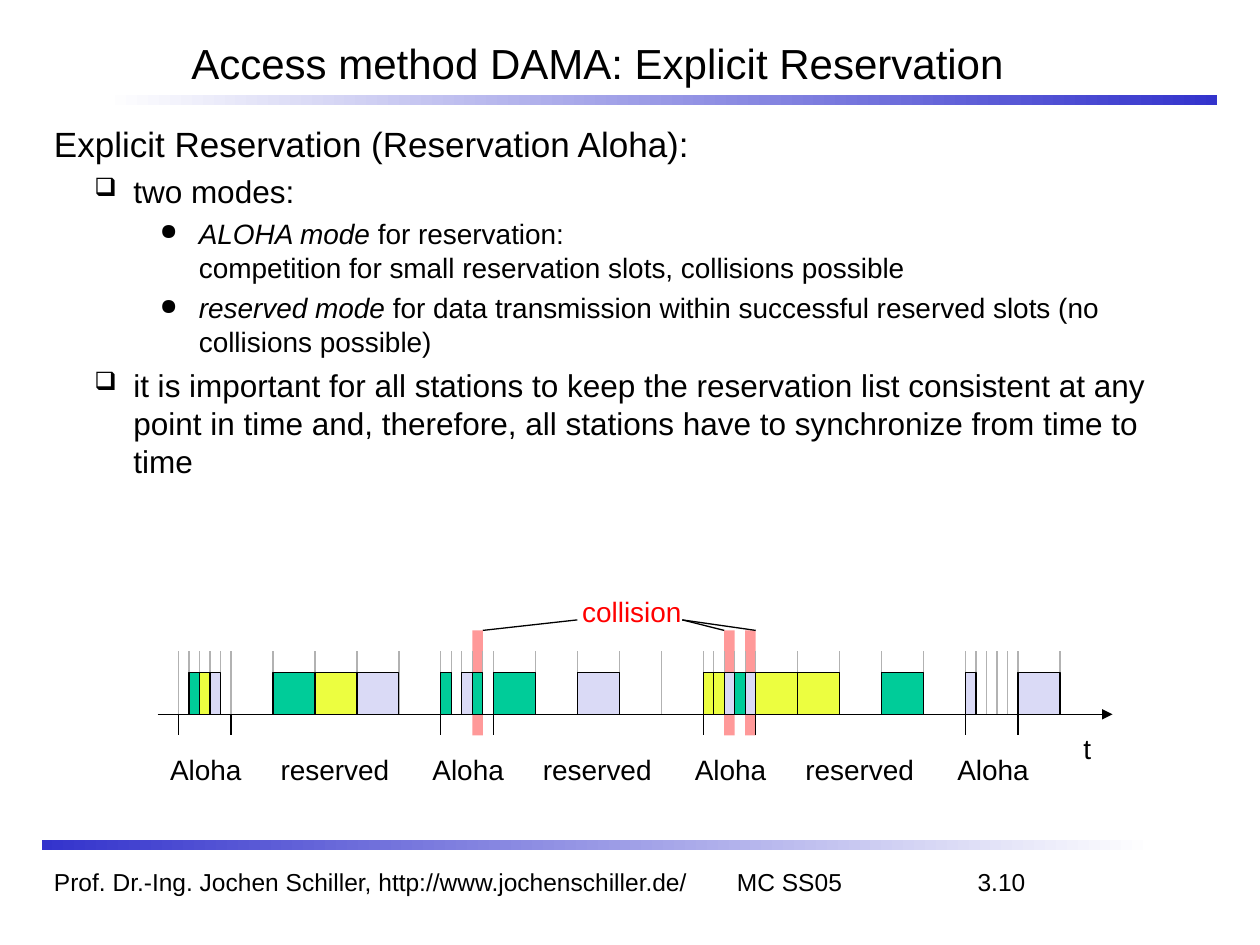
from lxml import etree
from pptx import Presentation
from pptx.dml.color import RGBColor
from pptx.enum.shapes import MSO_CONNECTOR, MSO_SHAPE
from pptx.enum.text import MSO_ANCHOR, MSO_AUTO_SIZE, PP_ALIGN
from pptx.oxml.ns import qn
from pptx.util import Inches, Pt

COLORS = {
    "black": "000000", "white": "FFFFFF", "blue": "3333CC", "red": "FF0000",
    "gray": "B2B2B2", "pink": "FF9999",
    "G": "00CC99", "Y": "ECFE40", "V": "DADAF6",
}

# One letter per slot and station, a dot for an empty slot.
CYCLES = [
    (".GYV.", ".GYV."),
    ("G.VG.", "G.V.."),
    ("YYVGV", "YY.G."),
    ("V....", "V"),
]
COLLISIONS = [(1, 3), (2, 2), (2, 4)]  # cycle, Aloha slot
RESERVED_SLOT = 4  # width in Aloha slots
CYCLE_LENGTH = 25

BODY = [
    (0, [("Explicit Reservation (Reservation Aloha):", False)]),
    (1, [("two modes:", False)]),
    (2, [("ALOHA mode", True),
         (" for reservation:\ncompetition for small reservation slots, collisions possible", False)]),
    (2, [("reserved mode", True),
         (" for data transmission within successful reserved slots (no collisions possible)", False)]),
    (1, [("it is important for all stations to keep the reservation list consistent at any "
          "point in time and, therefore, all stations have to synchronize from time to time", False)]),
]
LEVELS = [
    {"size": 20, "margin": 0.1, "indent": -0.1, "before": 5, "bullet": None},
    {"size": 18, "margin": 0.63, "indent": -0.31, "before": 4.5, "bullet": "❑"},
    {"size": 16, "margin": 1.15, "indent": -0.31, "before": 4, "bullet": "●"},
]


def rgb(color):
    return RGBColor.from_string(COLORS[color])


def add_child(parent, tag, **attributes):
    child = etree.SubElement(parent, qn(tag))
    for key, value in attributes.items():
        child.set(key, value)
    return child


def add_frame(slide, left, top, width, height, anchor=MSO_ANCHOR.TOP, wrap=True):
    frame = slide.shapes.add_textbox(left, top, width, height).text_frame
    frame.word_wrap = wrap
    frame.auto_size = MSO_AUTO_SIZE.NONE if wrap else MSO_AUTO_SIZE.SHAPE_TO_FIT_TEXT
    frame.vertical_anchor = anchor
    return frame


def write(paragraph, text, size=16, color="black", italic=False, align=PP_ALIGN.LEFT):
    paragraph.alignment = align
    for number, line in enumerate(text.split("\n")):
        if number:
            paragraph.add_line_break()
        run = paragraph.add_run()
        run.text = line
        run.font.name = "Arial"
        run.font.size = Pt(size)
        run.font.italic = italic
        run.font.color.rgb = rgb(color)


def add_label(slide, text, center, top, width, color="black"):
    frame = add_frame(slide, center - width // 2, top, width, Inches(0.37),
                      anchor=MSO_ANCHOR.MIDDLE, wrap=False)
    write(frame.paragraphs[0], text, color=color, align=PP_ALIGN.CENTER)


def add_box(slide, left, top, width, height, fill=None, line=None):
    box = slide.shapes.add_shape(MSO_SHAPE.RECTANGLE, left, top, width, height)
    box.shadow.inherit = False
    if fill:
        box.fill.solid()
        box.fill.fore_color.rgb = rgb(fill)
    if line:
        box.line.color.rgb = rgb(line)
        box.line.width = Pt(0.75)
    else:
        box.line.fill.background()
    return box


def add_line(slide, x1, y1, x2, y2, color="black", arrow=False):
    line = slide.shapes.add_connector(MSO_CONNECTOR.STRAIGHT, x1, y1, x2, y2)
    line.line.color.rgb = rgb(color)
    line.line.width = Pt(0.75)
    if arrow:
        add_child(line.line._get_or_add_ln(), "a:tailEnd", type="triangle")
    add_child(line._element.spPr, "a:effectLst")


def add_gradient_bar(slide, left, top, width, height, start, end):
    bar = add_box(slide, left, top, width, height)
    bar.fill.gradient()
    bar.fill.gradient_angle = 0
    for stop, color in zip(bar.fill.gradient_stops, (start, end)):
        stop.color.rgb = rgb(color)


def add_title(slide, left, top, width, height):
    frame = add_frame(slide, left, top, width, height, anchor=MSO_ANCHOR.BOTTOM)
    write(frame.paragraphs[0], "Access method DAMA: Explicit Reservation", size=24)


def add_footer(slide, left, top, width, height):
    paragraph = add_frame(slide, left, top, width, height).paragraphs[0]
    tabs = add_child(paragraph._p.get_or_add_pPr(), "a:tabLst")
    for position, side in ((5.42, "l"), (7.71, "r")):
        add_child(tabs, "a:tab", pos=str(Inches(position)), algn=side)
    write(paragraph, "Prof. Dr.-Ing. Jochen Schiller, http://www.jochenschiller.de/\tMC SS05\t3.10",
          size=14)


def add_body(slide, left, top, width, height):
    frame = add_frame(slide, left, top, width, height)
    for number, (level, parts) in enumerate(BODY):
        style = LEVELS[level]
        paragraph = frame.add_paragraph() if number else frame.paragraphs[0]
        paragraph.level = level
        properties = paragraph._p.get_or_add_pPr()
        properties.set("marL", str(Inches(style["margin"])))
        properties.set("indent", str(Inches(style["indent"])))
        if style["bullet"]:
            add_child(add_child(properties, "a:buClr"), "a:srgbClr", val=COLORS["black"])
            add_child(properties, "a:buSzPct", val="80000")
            add_child(properties, "a:buChar", char=style["bullet"])
        paragraph.space_before = Pt(style["before"] if number else 0)
        for text, italic in parts:
            write(paragraph, text, size=style["size"], italic=italic)


def add_timeline(slide, left, top, width, height):
    """Draw the slots on a square grid whose unit is one Aloha slot."""
    unit = width / 91

    def x(units):
        return round(left + units * unit)

    def y(units):
        return round(top + units * unit)

    band_top, mark_top, slot_top, axis, tick_end, label_top = map(y, (4, 6, 8, 12, 14, 15))
    starts = [2 + CYCLE_LENGTH * number for number in range(len(CYCLES))]

    slots, marks = [], []
    for start, (aloha, reserved) in zip(starts, CYCLES):
        position = start
        sizes = [1] * len(aloha) + [RESERVED_SLOT] * len(reserved)
        for station, size in zip(aloha + reserved, sizes):
            marks.append(position)
            slots.append((position, size, station))
            position += size
    marks.append(position)

    bands = [starts[cycle] + slot for cycle, slot in COLLISIONS]
    for band in bands:
        add_box(slide, x(band), band_top, x(band + 1) - x(band), tick_end - band_top, fill="pink")
    add_line(slide, left, axis, left + width, axis, arrow=True)
    for mark in marks:
        add_line(slide, x(mark), mark_top, x(mark), axis, color="gray")

    for start, (aloha, reserved) in zip(starts, CYCLES):
        add_label(slide, "Aloha", x(start + 2.6), label_top, Inches(0.82))
        if len(reserved) > 1:
            add_label(slide, "reserved", x(start + 14.9), label_top, Inches(1.12))
        for tick in (start, start + len(aloha)):
            add_line(slide, x(tick), axis, x(tick), tick_end)

    for position, size, station in slots:
        if station != ".":
            add_box(slide, x(position), slot_top, x(position + size) - x(position),
                    axis - slot_top, fill=station, line="black")

    add_label(slide, "collision", x(45.2), top, Inches(1.05), color="red")
    for corner, label_side in ((bands[0] + 1, 40), (bands[1], 50), (bands[2] + 1, 50)):
        add_line(slide, x(label_side), y(3), x(corner), band_top)
    add_label(slide, "t", x(88.6), y(13), Inches(0.3))


def main():
    deck = Presentation()
    deck.slide_width, deck.slide_height = Inches(10), Inches(7.5)
    slide = deck.slides.add_slide(deck.slide_layouts[6])
    add_gradient_bar(slide, Inches(0.83), Inches(0.75), Inches(8.83), Inches(0.08), "white", "blue")
    add_gradient_bar(slide, Inches(0.33), Inches(6.67), Inches(8.83), Inches(0.08), "blue", "white")
    add_footer(slide, Inches(0.33), Inches(6.83), Inches(8.75), Inches(0.33))
    add_title(slide, Inches(1.42), Inches(0), Inches(8.42), Inches(0.75))
    add_body(slide, Inches(0.33), Inches(0.92), Inches(9.33), Inches(3.38))
    add_timeline(slide, Inches(1.25), Inches(4.67), Inches(7.58), Inches(1.62))
    deck.save("out.pptx")


if __name__ == "__main__":
    main()
